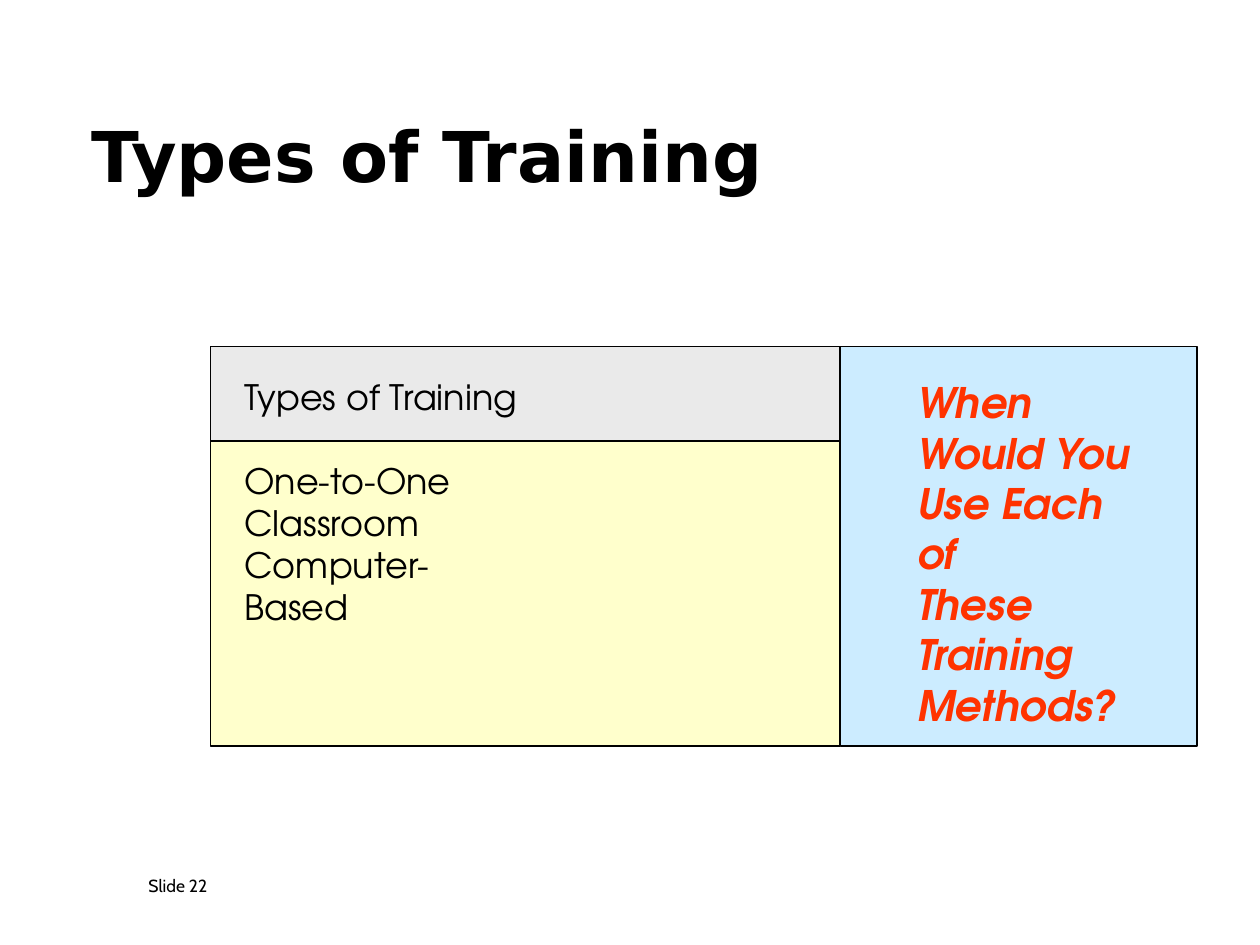
"""Build the Types of Training slide."""
import pptx
import pptx.util
import pptx.dml.color
import pptx.enum.shapes
import pptx.enum.text

Inches = pptx.util.Inches
Pt = pptx.util.Pt
RGBColor = pptx.dml.color.RGBColor
Anchor = pptx.enum.text.MSO_ANCHOR

BLACK = RGBColor(0x00, 0x00, 0x00)
RED = RGBColor(0xFF, 0x33, 0x00)
GRAY = RGBColor(0xEA, 0xEA, 0xEA)
YELLOW = RGBColor(0xFF, 0xFF, 0xCC)
BLUE = RGBColor(0xCC, 0xEC, 0xFF)
GEO = "TeX Gyre Adventor"

LEFT, TOP = 1.67, 2.75
WIDE, SIDE = 5, 2.83
HEAD, BODY = 0.75, 2.42

PANELS = [
    (LEFT, TOP, WIDE, HEAD, GRAY),
    (LEFT, TOP + HEAD, WIDE, BODY, YELLOW),
    (LEFT + WIDE, TOP, SIDE, HEAD + BODY, BLUE),
]

PLAIN = dict(font=GEO, size=20)
LOUD = dict(font=GEO, size=24, color=RED, bold=True, italic=True)

TEXTS = [
    (0.63, 0.36, 8.5, 1.25, ["Types of Training"],
     dict(font="DejaVu Sans", size=40, bold=True, anchor=Anchor.BOTTOM)),
    (1.84, 2.93, 2.45, 0.43, ["Types of Training"], PLAIN),
    (1.84, 3.6, 2.45, 1.43,
     ["One-to-One", "Classroom", "Computer-Based"], PLAIN),
    (7.18, 2.94, 2.01, 2.9,
     ["When", "Would You", "Use Each of", "These", "Training", "Methods?"],
     LOUD),
    (1.08, 6.66, 2.08, 0.5, ["Slide 22"],
     dict(font="Cabin", size=10, anchor=Anchor.BOTTOM)),
]


def panel(slide, x, y, w, h, fill):
    """Draw one outlined panel."""
    kind = pptx.enum.shapes.MSO_SHAPE.RECTANGLE
    box = slide.shapes.add_shape(kind, *map(Inches, (x, y, w, h)))
    box.shadow.inherit = False
    box.fill.solid()
    box.fill.fore_color.rgb = fill
    box.line.color.rgb = BLACK
    box.line.width = Pt(1)


def write(slide, x, y, w, h, lines, font, size, color=BLACK,
          bold=False, italic=False, anchor=Anchor.TOP):
    """Write lines as paragraphs of one text box."""
    box = slide.shapes.add_textbox(*map(Inches, (x, y, w, h)))
    frame = box.text_frame
    frame.word_wrap = True
    frame.vertical_anchor = anchor
    for i, line in enumerate(lines):
        para = frame.add_paragraph() if i else frame.paragraphs[0]
        run = para.add_run()
        run.text = line
        run.font.name = font
        run.font.size = Pt(size)
        run.font.color.rgb = color
        run.font.bold = bold
        run.font.italic = italic


def main():
    """Build and save the deck."""
    deck = pptx.Presentation()
    deck.slide_width, deck.slide_height = Inches(10), Inches(7.5)
    slide = deck.slides.add_slide(deck.slide_layouts[6])
    for item in PANELS:
        panel(slide, *item)
    for *item, style in TEXTS:
        write(slide, *item, **style)
    deck.save("out.pptx")


if __name__ == "__main__":
    main()
